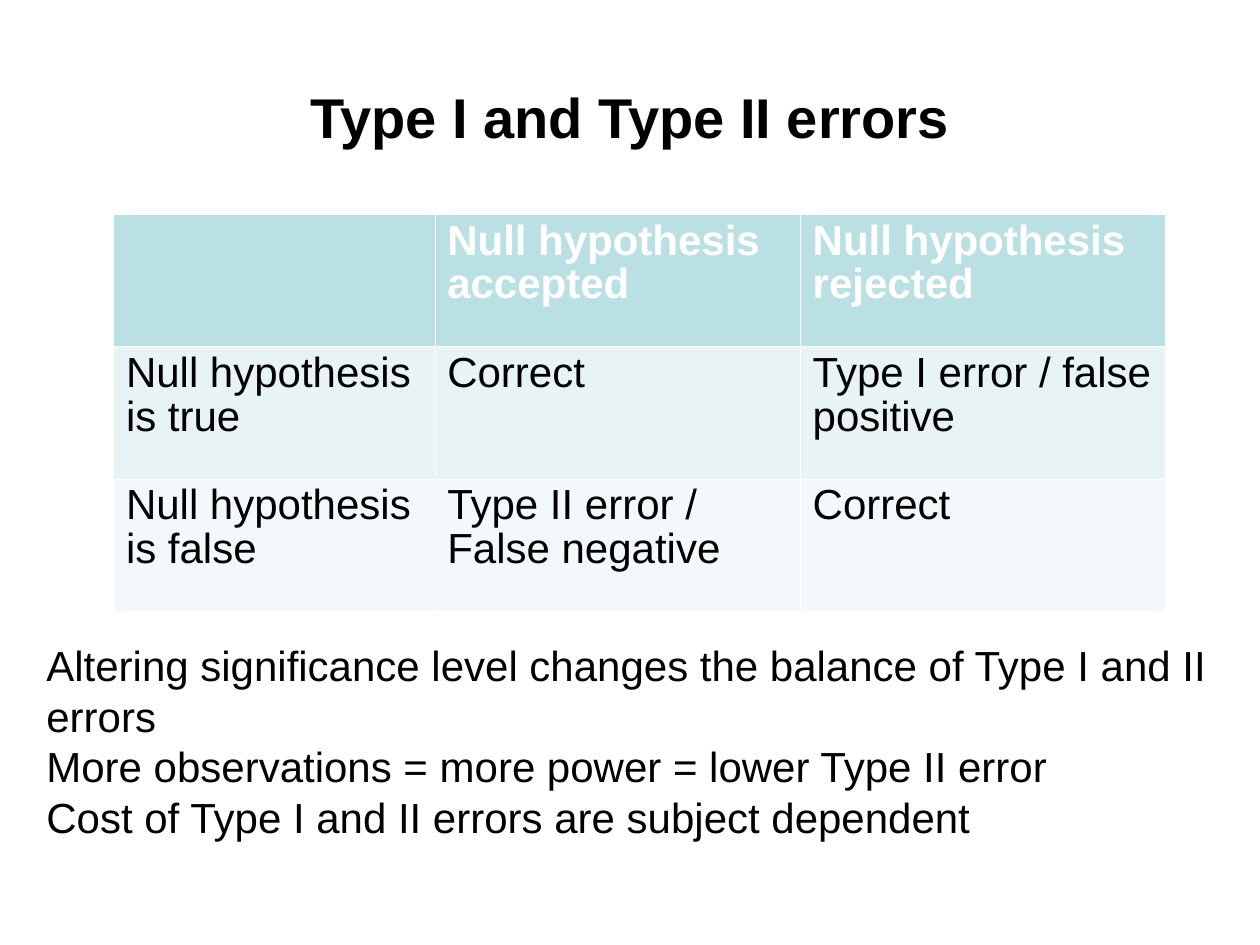
from lxml import etree
from pptx import Presentation
from pptx import util as u
from pptx.dml.color import RGBColor
from pptx.enum import text
from pptx.oxml import ns

SCALE = 9144
FONT = "Arial"
BLACK, WHITE = "000000", "FFFFFF"
ROW_FILLS = ["BBE0E3", "E7F3F4", "F3F9FA"]
COLUMN_WIDTHS = [255, 290, 290]
HAIRLINE, HEADER_LINE = 0.11, 0.34
ERROR_TABLE = [
    ["", "Null hypothesis accepted", "Null hypothesis rejected"],
    ["Null hypothesis is true", "Correct", "Type I error / false positive"],
    ["Null hypothesis is false", "Type II error / False negative", "Correct"],
]
NOTES = [
    "Altering significance level changes the balance of Type I and II errors",
    "More observations = more power = lower Type II error",
    "Cost of Type I and II errors are subject dependent",
]


def px(length):
    return u.Emu(length * SCALE)


def color(value):
    return RGBColor.from_string(value)


def write(paragraph, words, size=24, fill=BLACK, bold=False, align=None, spacing=None):
    paragraph.text = words
    paragraph.alignment = align
    paragraph.line_spacing = spacing
    font = paragraph.font
    font.name, font.size, font.bold = FONT, u.Pt(size), bold
    font.color.rgb = color(fill)


def set_borders(cell, **widths):
    properties = cell._tc.get_or_add_tcPr()
    for side in "LRTB":
        width = widths.get(side, HAIRLINE)
        line = etree.SubElement(properties, ns.qn(f"a:ln{side}"), w=str(u.Pt(width)))
        fill = etree.SubElement(line, ns.qn("a:solidFill"))
        etree.SubElement(fill, ns.qn("a:srgbClr"), val=WHITE)


def add_title(slide, box, words):
    title = slide.shapes.title
    title.left, title.top, title.width, title.height = map(px, box)
    frame = title.text_frame
    frame.vertical_anchor = text.MSO_ANCHOR.MIDDLE
    write(frame.paragraphs[0], words, size=32, bold=True, align=text.PP_ALIGN.CENTER)


def add_error_table(slide, box):
    table = slide.shapes.add_table(len(ERROR_TABLE), len(COLUMN_WIDTHS), *map(px, box)).table
    table.horz_banding = False
    for column, width in zip(table.columns, COLUMN_WIDTHS):
        column.width = px(width)
    for index, (row, fill) in enumerate(zip(ERROR_TABLE, ROW_FILLS)):
        header = index == 0
        edges = [{"B": HEADER_LINE}, {"T": HEADER_LINE}, {}][index]
        for position, words in enumerate(row):
            cell = table.cell(index, position)
            set_borders(cell, **edges)
            cell.fill.solid()
            cell.fill.fore_color.rgb = color(fill)
            write(cell.text_frame.paragraphs[0], words, bold=header,
                  fill=WHITE if header else BLACK, spacing=0.93)


def add_notes(slide, box):
    frame = slide.shapes.add_textbox(*map(px, box)).text_frame
    frame.word_wrap = True
    frame.auto_size = text.MSO_AUTO_SIZE.SHAPE_TO_FIT_TEXT
    for index, words in enumerate(NOTES):
        paragraph = frame.add_paragraph() if index else frame.paragraphs[0]
        write(paragraph, words)


def main():
    presentation = Presentation()
    presentation.slide_width, presentation.slide_height = px(1000), px(750)
    slide = presentation.slides.add_slide(presentation.slide_layouts.get_by_name("Title Only"))
    add_title(slide, (50, 30, 900, 125), "Type I and Type II errors")
    add_error_table(slide, (90, 170, sum(COLUMN_WIDTHS), 315))
    add_notes(slide, (27, 503, 953, 170))
    presentation.save("out.pptx")


if __name__ == "__main__":
    main()
